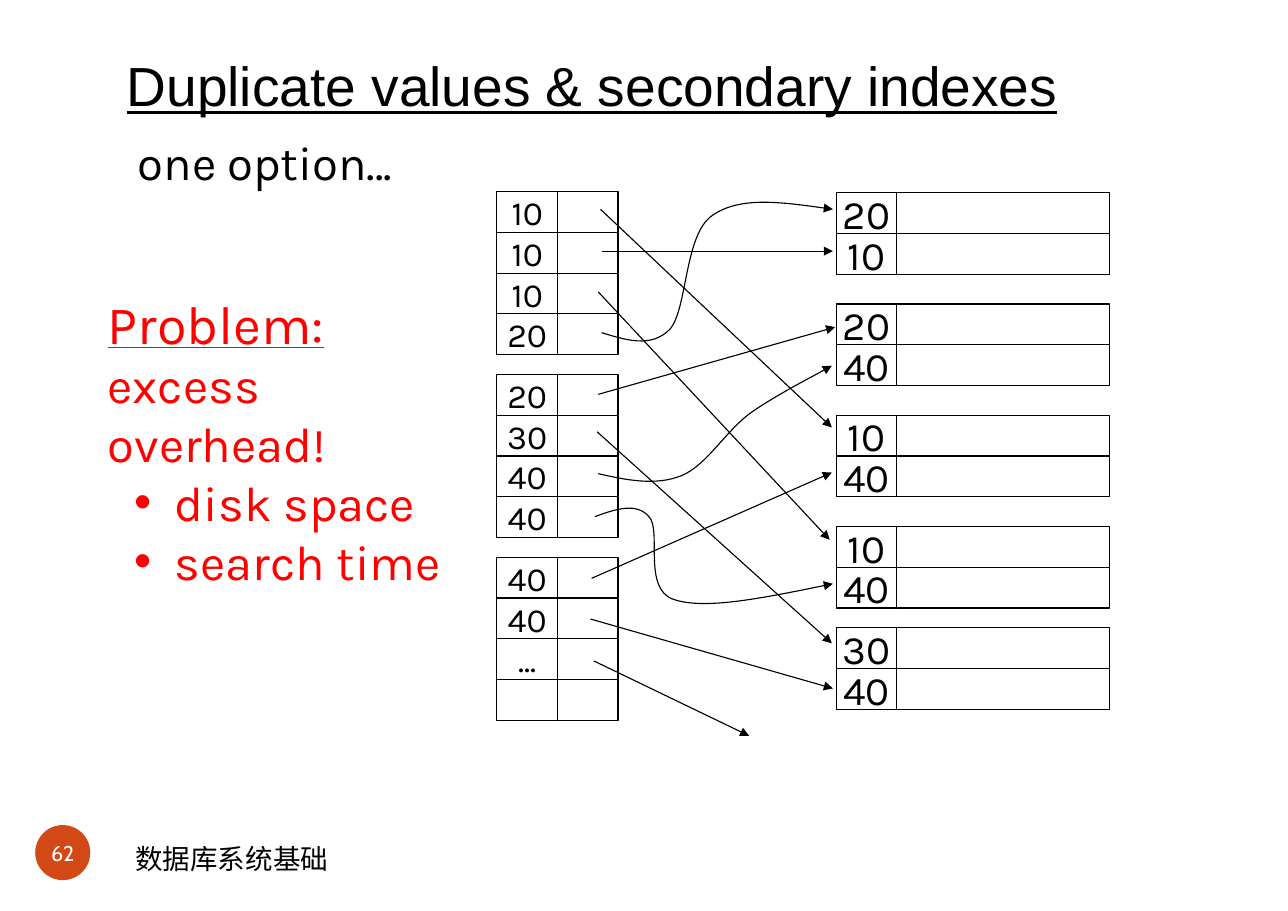
from dataclasses import dataclass

from lxml.etree import SubElement
from pptx import Presentation
from pptx.dml.color import RGBColor
from pptx.enum.shapes import MSO_CONNECTOR as Connector, MSO_SHAPE as Shape
from pptx.enum.text import MSO_ANCHOR as Anchor, PP_ALIGN as Align
from pptx.oxml.ns import qn
from pptx.util import Pt

PX = 9144  # EMU per px, 100 px to the inch
BLACK = RGBColor(0x00, 0x00, 0x00)
WHITE = RGBColor(0xFF, 0xFF, 0xFF)
RED = RGBColor(0xFF, 0x00, 0x00)
ORANGE = RGBColor(0xD3, 0x48, 0x17)

ROW_HEIGHT = 37
KEY_WIDTH = 55
HAIRLINE = Pt(0.75)

Point = tuple[int, int]


@dataclass(frozen=True)
class BlockStyle:
    left: int
    value_width: int
    size: float


@dataclass(frozen=True)
class Block:
    style: BlockStyle
    top: int
    keys: tuple[str, ...]


@dataclass(frozen=True)
class Line:
    text: str
    size: float
    font: str = "Karla"
    color: RGBColor = BLACK
    underline: bool = False
    bullet: bool = False


RECORD = BlockStyle(759, 193, 26.4)
BUCKET = BlockStyle(451, 55, 22.1)

BLOCKS = (
    Block(RECORD, 175, ("20", "10")),
    Block(RECORD, 276, ("20", "40")),
    Block(RECORD, 377, ("10", "40")),
    Block(RECORD, 478, ("10", "40")),
    Block(RECORD, 570, ("30", "40")),
    Block(BUCKET, 174, ("10", "10", "10", "20")),
    Block(BUCKET, 340, ("20", "30", "40", "40")),
    Block(BUCKET, 506, ("40", "40", "...", "")),
)

STRAIGHT_POINTERS: tuple[tuple[Point, Point], ...] = (
    ((546, 228), (756, 228)),
    ((545, 190), (755, 388)),
    ((543, 265), (753, 490)),
    ((543, 358), (758, 297)),
    ((542, 392), (755, 584)),
    ((536, 562), (756, 625)),
    ((537, 525), (755, 429)),
    ((539, 600), (680, 668)),
)

# Each curve: a start point, then two control points and an end point per segment.
CURVED_POINTERS: tuple[tuple[Point, ...], ...] = (
    ((546, 302), (569, 309), (591, 316), (608, 299), (624, 281),
     (621, 214), (646, 196), (671, 178), (713, 184), (756, 190)),
    ((543, 430), (569, 436), (595, 441), (618, 432), (641, 423),
     (658, 392), (681, 375), (704, 359), (743, 339), (755, 332)),
    ((540, 469), (559, 462), (578, 456), (589, 469), (601, 481),
     (583, 534), (611, 544), (639, 554), (697, 542), (756, 530)),
)

PROBLEM = (
    Line("Problem:", 35.3, color=RED, underline=True),
    Line("excess overhead!", 32, color=RED),
    Line("disk space", 32, color=RED, bullet=True),
    Line("search time", 32, color=RED, bullet=True),
)


def add_bullet(para) -> None:
    para.level = 1
    properties = para._p.get_or_add_pPr()
    properties.set("marL", str(61 * PX))
    properties.set("indent", str(-37 * PX))
    SubElement(properties, qn("a:buFont"), typeface="Arial")
    SubElement(properties, qn("a:buChar"), char="•")


def write(frame, lines: tuple[Line, ...], align: Align = Align.LEFT,
          anchor: Anchor = Anchor.MIDDLE, wrap: bool = False) -> None:
    frame.word_wrap = wrap
    frame.vertical_anchor = anchor
    for index, line in enumerate(lines):
        para = frame.add_paragraph() if index else frame.paragraphs[0]
        para.alignment = align
        if line.bullet:
            add_bullet(para)
        span = para.add_run()
        span.text = line.text
        span.font.name = line.font
        span.font.size = Pt(line.size)
        span.font.color.rgb = line.color
        span.font.underline = line.underline


def clear_margins(frame, top: int = 0) -> None:
    frame.margin_left = frame.margin_right = frame.margin_bottom = 0
    frame.margin_top = top * PX


def add_text(shapes, left: int, top: int, width: int, height: int):
    return shapes.add_textbox(left * PX, top * PX, width * PX, height * PX).text_frame


def add_cell(shapes, left: int, top: int, width: int):
    cell = shapes.add_shape(Shape.RECTANGLE, left * PX, top * PX, width * PX, ROW_HEIGHT * PX)
    cell.shadow.inherit = False
    cell.fill.solid()
    cell.fill.fore_color.rgb = WHITE
    cell.line.color.rgb = BLACK
    cell.line.width = HAIRLINE
    return cell


def add_block(shapes, block: Block) -> None:
    """Draw a group of rows, each with a key cell and an empty cell beside it."""
    group = shapes.add_group_shape().shapes
    style = block.style
    for row, key in enumerate(block.keys):
        top = block.top + row * ROW_HEIGHT
        key_cell = add_cell(group, style.left, top, KEY_WIDTH)
        if key:
            write(key_cell.text_frame, (Line(key, style.size),), Align.CENTER)
        add_cell(group, style.left + KEY_WIDTH, top, style.value_width)


def style_pointer(pointer) -> None:
    pointer.line.color.rgb = BLACK
    pointer.line.width = HAIRLINE
    SubElement(pointer.line._get_or_add_ln(), qn("a:tailEnd"), type="triangle")


def add_straight_pointer(shapes, start: Point, end: Point) -> None:
    ends = (value * PX for value in start + end)
    pointer = shapes.add_connector(Connector.STRAIGHT, *ends)
    style_pointer(pointer)
    SubElement(pointer._element.spPr, qn("a:effectLst"))


def add_curved_pointer(shapes, points: tuple[Point, ...]) -> None:
    """Draw an open freeform and turn every three line steps into a Bézier segment."""
    builder = shapes.build_freeform(*points[0], scale=PX)
    builder.add_line_segments(points[1:], close=False)
    pointer = builder.convert_to_shape()
    outline = next(pointer._element.iter(qn("a:path")))
    steps = outline.findall(qn("a:lnTo"))
    for first in range(0, len(steps), 3):
        segment = SubElement(outline, qn("a:cubicBezTo"))
        for step in steps[first:first + 3]:
            segment.append(step[0])
            outline.remove(step)
    pointer.shadow.inherit = False
    pointer.fill.background()
    style_pointer(pointer)


def add_footer(shapes) -> None:
    badge = shapes.add_shape(Shape.OVAL, 32 * PX, 749 * PX, 50 * PX, 50 * PX)
    badge.shadow.inherit = False
    badge.fill.solid()
    badge.fill.fore_color.rgb = ORANGE
    badge.line.fill.background()
    clear_margins(badge.text_frame)
    write(badge.text_frame, (Line("62", 14, "Cabin", WHITE),), Align.CENTER)
    course = add_text(shapes, 113, 759, 255, 40)
    write(course, (Line("数据库系统基础", 18, "Calibri"),), anchor=Anchor.TOP, wrap=True)


def main() -> None:
    deck = Presentation()
    deck.slide_width, deck.slide_height = 1169 * PX, 827 * PX
    page = deck.slides.add_slide(deck.slide_layouts[6])
    shapes = page.shapes

    add_footer(shapes)
    for block in BLOCKS:
        add_block(shapes, block)
    for start, end in STRAIGHT_POINTERS:
        add_straight_pointer(shapes, start, end)
    for points in CURVED_POINTERS:
        add_curved_pointer(shapes, points)

    option = add_text(shapes, 110, 116, 261, 62)
    write(option, (Line("one option...", 30.9),), Align.CENTER)
    write(add_text(shapes, 88, 284, 364, 231), PROBLEM, wrap=True)
    title = add_text(shapes, 115, 42, 940, 34)
    clear_margins(title, top=5)
    heading = Line("Duplicate values & secondary indexes", 36, "Arial", underline=True)
    write(title, (heading,), anchor=Anchor.TOP, wrap=True)

    deck.save("out.pptx")


if __name__ == "__main__":
    main()
